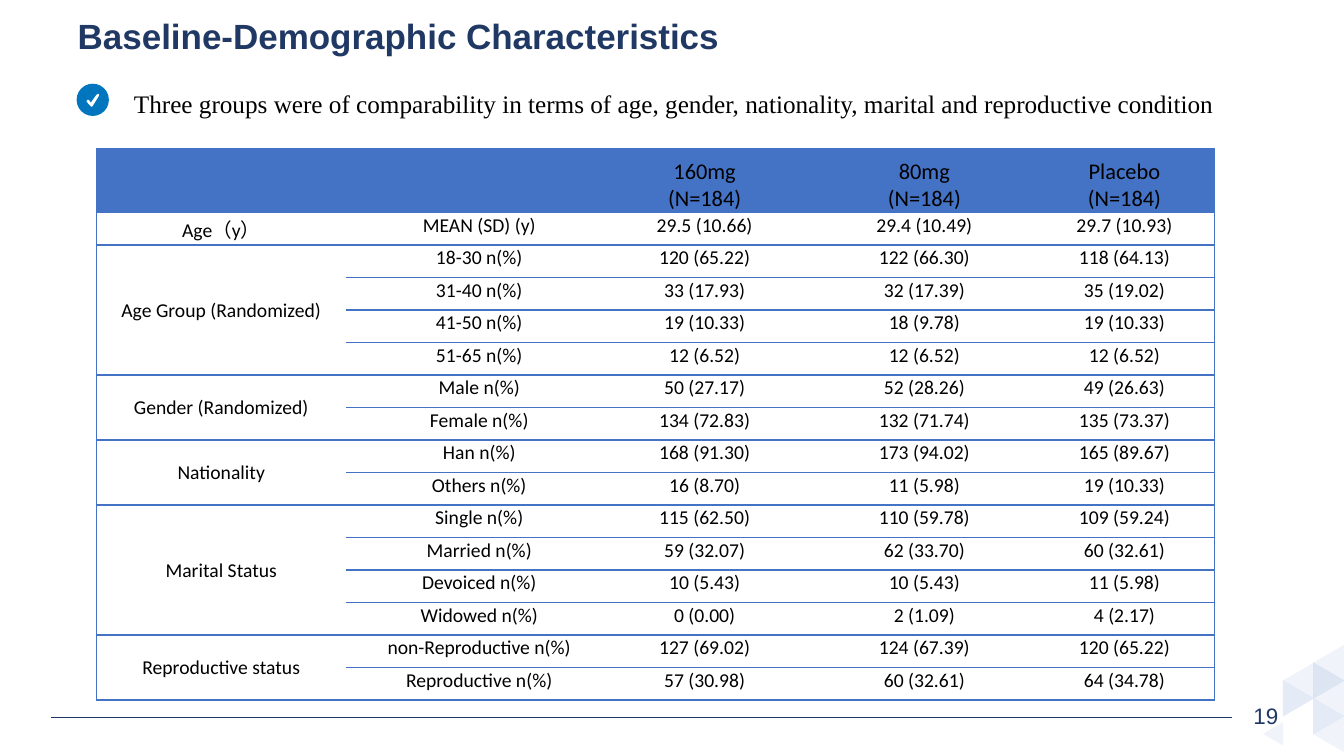
"""Build the baseline demographic characteristics slide."""
from dataclasses import dataclass
from typing import NamedTuple

from lxml import etree
from pptx import Presentation
from pptx import util as u
from pptx.dml.color import RGBColor
from pptx.enum import shapes, text
from pptx.oxml.ns import qn


@dataclass(frozen=True)
class Theme:
    """Colours, fonts and type sizes."""
    navy: str = "203864"
    blue: str = "4472C4"
    badge: str = "0175BE"
    pale: str = "DAE3F3"
    white: str = "FFFFFF"
    black: str = "000000"
    head_font: str = "Arial"
    body_font: str = "Times New Roman"
    table_font: str = "Calibri"
    title: int = 25
    statement: int = 18
    header: int = 16
    cell: int = 14


class Box(NamedTuple):
    """A frame in percent of the slide's width and height."""
    x: float
    y: float
    w: float
    h: float


class Triangle(NamedTuple):
    """A corner triangle pointing right or left."""
    box: Box
    right: bool


class Group(NamedTuple):
    """A characteristic and its (category, 160mg, 80mg, placebo) rows."""
    name: str
    rows: list[tuple[str, str, str, str]]


T = Theme()
WIDTH, HEIGHT = u.Inches(13.33), u.Inches(7.5)
NO_GRID_STYLE = "{2D5ABB26-0587-4C30-8999-92F81FD0307C}"
MIDDLE, BOTTOM, TOP = text.MSO_ANCHOR.MIDDLE, text.MSO_ANCHOR.BOTTOM, text.MSO_ANCHOR.TOP
LEFT, CENTER = text.PP_ALIGN.LEFT, text.PP_ALIGN.CENTER

BADGE = Box(5.7, 11.07, 2.4, 4.27)
TABLE = Box(7.2, 19.6, 83.19, 73)
COLUMNS = [18.53, 18.53, 16.35, 16.35, 13.43]
HEADER_ROW, BODY_ROW = 8.5, 4.3
CATEGORY_INDENT = 1.42
TICK = [(47, 72), (43, 69), (31, 56), (31, 53), (34, 50), (38, 50), (44, 59),
        (62, 34), (67, 31), (70, 35), (69, 38), (50, 69)]
TRIANGLE_CELLS = [(0, 2, True), (0, 1, False), (1, 1, True), (1, 1, True),
                  (1, 2, False), (1, 0, False), (1, 4, False), (1, 3, True)]
TRIANGLES = [Triangle(Box(95.27 + 2.25 * col, 85.6 + 2.36 * row, 2.7, 4.13), right)
             for col, row, right in TRIANGLE_CELLS]
TRIANGLES.append(Triangle(Box(93.85, 95.73, 1.73, 2.67), False))

HEADERS = ["", "", "160mg\n(N=184)", "80mg\n(N=184)", "Placebo\n(N=184)"]
GROUPS = [
    Group("Age（y）", [("MEAN (SD) (y)", "29.5 (10.66)", "29.4 (10.49)", "29.7 (10.93)")]),
    Group("Age Group (Randomized)", [
        ("18-30 n(%)", "120 (65.22)", "122 (66.30)", "118 (64.13)"),
        ("31-40 n(%)", "33 (17.93)", "32 (17.39)", "35 (19.02)"),
        ("41-50 n(%)", "19 (10.33)", "18 (9.78)", "19 (10.33)"),
        ("51-65 n(%)", "12 (6.52)", "12 (6.52)", "12 (6.52)")]),
    Group("Gender (Randomized)", [
        ("Male n(%)", "50 (27.17)", "52 (28.26)", "49 (26.63)"),
        ("Female n(%)", "134 (72.83)", "132 (71.74)", "135 (73.37)")]),
    Group("Nationality", [
        ("Han n(%)", "168 (91.30)", "173 (94.02)", "165 (89.67)"),
        ("Others n(%)", "16 (8.70)", "11 (5.98)", "19 (10.33)")]),
    Group("Marital Status", [
        ("Single n(%)", "115 (62.50)", "110 (59.78)", "109 (59.24)"),
        ("Married n(%)", "59 (32.07)", "62 (33.70)", "60 (32.61)"),
        ("Devoiced n(%)", "10 (5.43)", "10 (5.43)", "11 (5.98)"),
        ("Widowed n(%)", "0 (0.00)", "2 (1.09)", "4 (2.17)")]),
    Group("Reproductive status", [
        ("non-Reproductive n(%)", "127 (69.02)", "124 (67.39)", "120 (65.22)"),
        ("Reproductive n(%)", "57 (30.98)", "60 (32.61)", "64 (34.78)")]),
]


def across(percent: float) -> int:
    """Turn a share of the slide's width into a length."""
    return u.Emu(round(WIDTH * percent / 100))


def down(percent: float) -> int:
    """Turn a share of the slide's height into a length."""
    return u.Emu(round(HEIGHT * percent / 100))


def frame(box: Box) -> tuple[int, int, int, int]:
    """Return left, top, width and height of a box."""
    return across(box.x), down(box.y), across(box.w), down(box.h)


def write(tf, words: str, *, size: int, font: str, color: str = T.black,
          bold: bool = False, align=LEFT, spacing: float = 1.0) -> None:
    """Put one formatted paragraph in a text frame."""
    p = tf.paragraphs[0]
    p.text = words
    p.alignment, p.line_spacing = align, spacing
    for r in p.runs:
        r.font.size, r.font.name, r.font.bold = u.Pt(size), font, bold
        r.font.color.rgb = RGBColor.from_string(color)


def paint(sp, color: str, alpha: int = 100) -> None:
    """Fill a shape without line or shadow, at an opacity in percent."""
    sp.shadow.inherit = False
    sp.fill.solid()
    sp.fill.fore_color.rgb = RGBColor.from_string(color)
    sp.line.fill.background()
    if alpha < 100:
        tint = sp._element.spPr.find(".//" + qn("a:srgbClr"))
        etree.SubElement(tint, qn("a:alpha"), val=str(alpha * 1000))


def border(cell, sides: str) -> None:
    """Draw blue lines on the given sides of a cell and clear the rest."""
    props = cell._tc.get_or_add_tcPr()
    for side in "LRTB":
        ln = etree.SubElement(props, qn(f"a:ln{side}"), w=str(u.Pt(1)))
        if side in sides:
            fill = etree.SubElement(ln, qn("a:solidFill"))
            etree.SubElement(fill, qn("a:srgbClr"), val=T.blue)
        else:
            etree.SubElement(ln, qn("a:noFill"))


def draw_footer(s) -> None:
    """Draw the corner triangles, the rule and the page number."""
    rule = s.shapes.add_connector(shapes.MSO_CONNECTOR.STRAIGHT, across(91.67),
                                  down(94.93), across(3.83), down(94.93))
    rule.line.color.rgb, rule.line.width = RGBColor.from_string(T.navy), u.Pt(1)
    etree.SubElement(rule._element.spPr, qn("a:effectLst"))
    number = s.shapes.add_textbox(*frame(Box(92.05, 92.27, 4.28, 5.33)))
    number.text_frame.word_wrap = True
    write(number.text_frame, "19", size=T.header, font=T.head_font, color=T.navy, align=CENTER)
    for triangle in TRIANGLES:
        sp = s.shapes.add_shape(shapes.MSO_SHAPE.ISOSCELES_TRIANGLE, *frame(triangle.box))
        sp.rotation = 90 if triangle.right else 270
        paint(sp, T.pale, 70 if triangle.right else 40)


def draw_statement(s) -> None:
    """Draw the tick badge and the key statement."""
    tf = s.shapes.add_textbox(*frame(Box(9.23, 11.07, 81.92, 5.33))).text_frame
    tf.word_wrap = False
    write(tf, "Three groups were of comparability in terms of age, gender, nationality, "
          "marital and reproductive condition", size=T.statement, font=T.body_font)
    paint(s.shapes.add_shape(shapes.MSO_SHAPE.OVAL, *frame(BADGE)), T.badge)
    outline = s.shapes.build_freeform(*TICK[0], scale=across(BADGE.w) / 100)
    outline.add_line_segments(TICK[1:], close=True)
    paint(outline.convert_to_shape(across(BADGE.x), down(BADGE.y)), T.white)


def draw_table(s) -> None:
    """Draw the table of characteristics by treatment group."""
    rows = [HEADERS] + [[g.name if i == 0 else "", *row]
                        for g in GROUPS for i, row in enumerate(g.rows)]
    graphic = s.shapes.add_table(len(rows), len(COLUMNS), *frame(TABLE))
    next(graphic._element.iter(qn("a:tableStyleId"))).text = NO_GRID_STYLE
    table = graphic.table
    for column, share in zip(table.columns, COLUMNS):
        column.width = across(share)
    start = 1
    for group in GROUPS:
        end = start + len(group.rows) - 1
        if end > start:
            table.cell(start, 0).merge(table.cell(end, 0))
        start = end + 1
    for i, row in enumerate(rows):
        table.rows[i].height = down(BODY_ROW if i else HEADER_ROW)
        for j, words in enumerate(row):
            cell = table.cell(i, j)
            edge = {0: "L", len(COLUMNS) - 1: "R"}.get(j, "")
            border(cell, edge if cell.is_spanned else edge + "TB")
            cell.fill.solid()
            cell.fill.fore_color.rgb = RGBColor.from_string(T.white if i else T.blue)
            cell.margin_left = across(CATEGORY_INDENT if i and j == 1 else 0.08)
            cell.margin_right, cell.margin_top, cell.margin_bottom = across(0.08), down(0.13), 0
            cell.vertical_anchor = BOTTOM if i == 0 else TOP if j else MIDDLE
            if words:
                write(cell.text_frame, words, size=T.cell if i else T.header,
                      font=T.table_font, align=CENTER)


def main() -> None:
    """Build and save the slide."""
    prs = Presentation()
    prs.slide_width, prs.slide_height = WIDTH, HEIGHT
    s = prs.slides.add_slide(prs.slide_layouts[5])
    draw_footer(s)
    title = s.shapes.title
    title.left, title.top, title.width, title.height = frame(Box(5.03, 0, 83.42, 10))
    title.text_frame.vertical_anchor = MIDDLE
    write(title.text_frame, "Baseline-Demographic Characteristics", size=T.title,
          font=T.head_font, color=T.navy, bold=True, spacing=0.9)
    draw_table(s)
    draw_statement(s)
    prs.save("out.pptx")


if __name__ == "__main__":
    main()
